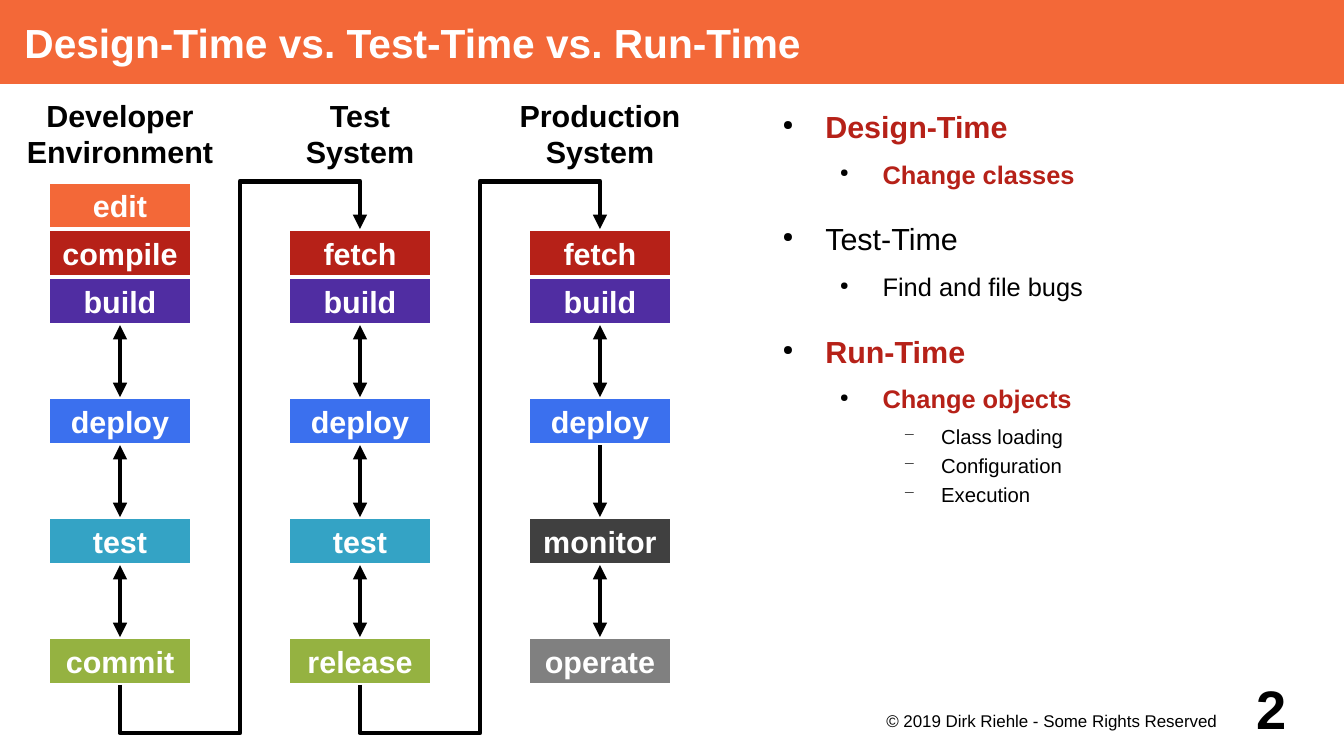
from dataclasses import dataclass
from itertools import pairwise

from lxml import etree
from pptx import Presentation
from pptx.dml.color import RGBColor
from pptx.enum.shapes import MSO_CONNECTOR, MSO_SHAPE
from pptx.enum.text import MSO_ANCHOR, PP_ALIGN
from pptx.oxml.ns import qn
from pptx.util import Emu, Inches, Pt

RECT, STRAIGHT = MSO_SHAPE.RECTANGLE, MSO_CONNECTOR.STRAIGHT
LEFT, CENTER, RIGHT = PP_ALIGN.LEFT, PP_ALIGN.CENTER, PP_ALIGN.RIGHT
TOP, MIDDLE = MSO_ANCHOR.TOP, MSO_ANCHOR.MIDDLE
BOTTOM_SITE, TOP_SITE = 2, 0

WIDTH, HEIGHT = Inches(11.02), Inches(6.2)
UNIT = WIDTH / 56  # the slide is 56 grid columns wide


@dataclass(frozen=True)
class Theme:
    font: str = "Arial"
    black: str = "000000"
    white: str = "FFFFFF"
    orange: str = "F36838"
    red: str = "B62118"
    purple: str = "502DA2"
    blue: str = "3B70EE"
    teal: str = "34A3C5"
    green: str = "95B241"
    dark: str = "404040"
    gray: str = "808080"
    title: int = 24
    label: int = 18
    sub: int = 15
    detail: int = 12
    footer: int = 10
    number: int = 32
    stroke: float = 2.83


T = Theme()

# Stage grid, in units
FIRST_COL, COL_STEP, BOX_W, BOX_H = 2, 10, 6, 2
HEADER_ROW, FLOW_ROW = 3.55, 7.55
STAGE_ROWS = [FLOW_ROW + n for n in (0, 2, 4, 9, 14, 19)]

FETCH, BUILD, DEPLOY = ("fetch", T.red), ("build", T.purple), ("deploy", T.blue)
TEST = ("test", T.teal)
# Header lines, then one stage per row
SYSTEMS = [
    (["Developer", "Environment"],
     [("edit", T.orange), ("compile", T.red), BUILD, DEPLOY, TEST, ("commit", T.green)]),
    (["Test", "System"], [None, FETCH, BUILD, DEPLOY, TEST, ("release", T.green)]),
    (["Production", "System"],
     [None, FETCH, BUILD, DEPLOY, ("monitor", T.dark), ("operate", T.gray)]),
]
ONE_WAY = ("deploy", "monitor")

# Outline level: indent, hanging, space after, bullet, bullet size in %, type size
LEVELS = [
    (0.47, 0.35, 8.4, "●", 45, T.label),
    (0.94, 0.35, 5.7, "●", 45, T.sub),
    (1.42, 0.31, 2.8, "−", 75, T.detail),
]
TOPIC_GAP = 12.7
OUTLINE = [  # level, text, highlighted
    (0, "Design-Time", True),
    (1, "Change classes", True),
    (0, "Test-Time", False),
    (1, "Find and file bugs", False),
    (0, "Run-Time", True),
    (1, "Change objects", True),
    (2, "Class loading", False),
    (2, "Configuration", False),
    (2, "Execution", False),
]


def grid(n):
    return Emu(round(n * UNIT))


def rgb(color):
    return RGBColor.from_string(color)


def add_run(p, text, size, color, bold):
    r = p.add_run()
    r.text = text
    r.font.name, r.font.size, r.font.bold = T.font, Pt(size), bold
    r.font.color.rgb = rgb(color)


def set_frame(tf, anchor, insets, wrap):
    tf.word_wrap = wrap
    tf.vertical_anchor = anchor
    tf.margin_left, tf.margin_top, tf.margin_right, tf.margin_bottom = map(Inches, insets)


def fill_text(s, lines, size, color, bold=True, align=CENTER, anchor=MIDDLE,
              insets=(0,) * 4, wrap=True):
    tf = s.text_frame
    set_frame(tf, anchor, insets, wrap)
    for i, line in enumerate(lines):
        p = tf.add_paragraph() if i else tf.paragraphs[0]
        p.alignment = align
        add_run(p, line, size, color, bold)


def add_text(sp, box, lines, size, **style):
    s = sp.add_textbox(*map(grid, box))
    fill_text(s, lines, size, T.black, **style)


def add_box(sp, box, fill):
    s = sp.add_shape(RECT, *map(grid, box))
    s.shadow.inherit = False
    s.fill.solid()
    s.fill.fore_color.rgb = rgb(fill)
    s.line.fill.background()
    return s


def add_stage(sp, col, row, label, fill):
    s = add_box(sp, (col, row, BOX_W, BOX_H), fill)
    s.line.color.rgb = rgb(T.white)
    s.line.width = Pt(T.stroke)
    fill_text(s, [label], T.label, T.white, insets=(0.08,) * 4, wrap=False)
    return s


def style_line(s, both=False):
    s.line.color.rgb = rgb(T.black)
    s.line.width = Pt(T.stroke)
    ln = s.line._get_or_add_ln()
    for tag in (["a:headEnd"] if both else []) + ["a:tailEnd"]:
        etree.SubElement(ln, qn(tag), type="triangle")


def add_arrow(sp, upper, lower, both):
    x = upper.left + upper.width // 2
    s = sp.add_connector(STRAIGHT, x, upper.top + upper.height, x, lower.top)
    s.begin_connect(upper, BOTTOM_SITE)
    s.end_connect(lower, TOP_SITE)
    style_line(s, both)
    etree.SubElement(s._element.spPr, qn("a:effectLst"))


def add_handover(sp, col):
    """Route from the last stage of one system to the first of the next."""
    x = col + BOX_W / 2
    mid, end = x + COL_STEP / 2, x + COL_STEP
    start, low = STAGE_ROWS[-1] + BOX_H, STAGE_ROWS[-1] + 2 * BOX_H
    route = [(x, low), (mid, low), (mid, FLOW_ROW), (end, FLOW_ROW), (end, STAGE_ROWS[1])]
    fb = sp.build_freeform(grid(x), grid(start))
    fb.add_line_segments([(grid(a), grid(b)) for a, b in route], close=False)
    s = fb.convert_to_shape()
    s.shadow.inherit = False
    s.fill.background()
    style_line(s)


def add_system(sp, col, header, stages):
    add_text(sp, (col - 1.5, HEADER_ROW, BOX_W + 3, 4), header, T.label)
    placed = [(stage[0], row, add_stage(sp, col, row, *stage))
              for stage, row in zip(stages, STAGE_ROWS) if stage]
    for (name, row, upper), (next_name, next_row, lower) in pairwise(placed):
        if next_row - row > BOX_H:
            add_arrow(sp, upper, lower, (name, next_name) != ONE_WAY)


def add_bullet(p, level):
    indent, hanging, after, char, percent, _ = LEVELS[level]
    p.level = level
    p.space_after = Pt(after)
    pPr = p._p.get_or_add_pPr()
    pPr.set("marL", str(Inches(indent)))
    pPr.set("indent", str(-Inches(hanging)))
    color = etree.SubElement(pPr, qn("a:buClr"))
    etree.SubElement(color, qn("a:srgbClr"), val=T.black)
    etree.SubElement(pPr, qn("a:buSzPct"), val=str(percent * 1000))
    etree.SubElement(pPr, qn("a:buChar"), char=char)


def add_outline(sp, box):
    tf = sp.add_textbox(*map(grid, box)).text_frame
    set_frame(tf, TOP, (0,) * 4, True)
    for i, (level, text, strong) in enumerate(OUTLINE):
        p = tf.add_paragraph() if i else tf.paragraphs[0]
        add_bullet(p, level)
        if i and level == 0:
            p.space_before = Pt(TOPIC_GAP)
        add_run(p, text, LEVELS[level][-1], T.red if strong else T.black, strong)


def main():
    prs = Presentation()
    prs.slide_width, prs.slide_height = WIDTH, HEIGHT
    sp = prs.slides.add_slide(prs.slide_layouts[6]).shapes

    # Title bar
    bar = add_box(sp, (0, 0, 56, 3.5), T.orange)
    fill_text(bar, ["Design-Time vs. Test-Time vs. Run-Time"], T.title, T.white,
              align=LEFT, insets=(0.2, 0, 0, 0))

    # Systems and the handovers between them
    cols = [FIRST_COL + i * COL_STEP for i in range(len(SYSTEMS))]
    for col, (header, stages) in zip(cols, SYSTEMS):
        add_system(sp, col, header, stages)
    for col in cols[:-1]:
        add_handover(sp, col)

    # Outline
    add_outline(sp, (32, 4.5, 23, 23))

    # Footer
    add_text(sp, (35.1, 29.5, 16, 1.5), ["© 2019 Dirk Riehle - Some Rights Reserved"], T.footer,
             bold=False, align=RIGHT, anchor=TOP, insets=(0, 0.02, 0.08, 0))
    add_text(sp, (49.6, 28, 4, 3), ["2"], T.number, align=RIGHT)

    prs.save("out.pptx")


if __name__ == "__main__":
    main()
